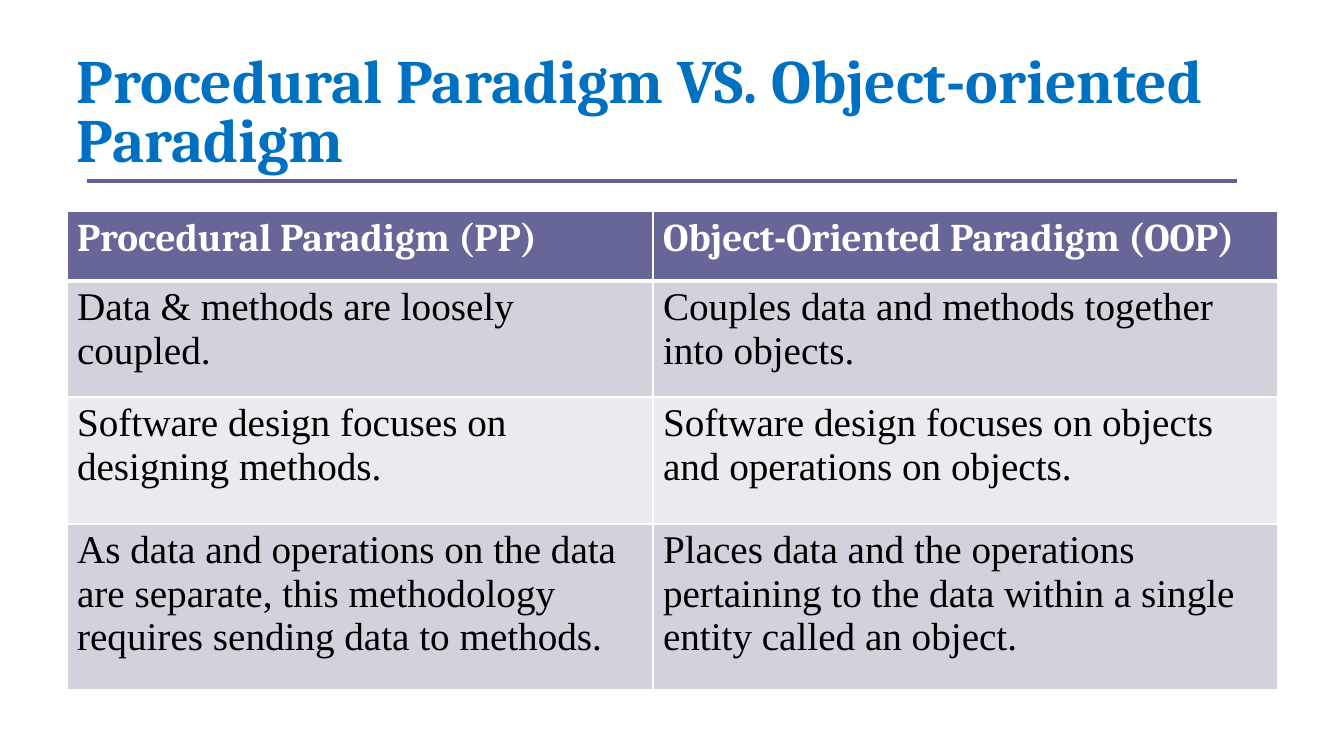
from lxml import etree
from pptx import Presentation
from pptx.dml.color import RGBColor
from pptx.enum.shapes import MSO_CONNECTOR
from pptx.enum.text import MSO_ANCHOR
from pptx.oxml.ns import qn
from pptx.util import Pt

STRAIGHT = MSO_CONNECTOR.STRAIGHT
MIDDLE = MSO_ANCHOR.MIDDLE
SLIDE_WIDTH, SLIDE_HEIGHT = 1344, 756
SCALE = 12192000 / SLIDE_WIDTH
COLORS = {
    "title": "0070C0",
    "rule": "616196",
    "header": "666699",
    "odd_row": "D2D2DD",
    "even_row": "EAEAEF",
    "white": "FFFFFF",
    "black": "000000",
}
HEADING_FONT, BODY_FONT = "Cambria", "Times New Roman"
COLUMN_WIDTHS = [586, 625]
ROW_HEIGHTS = [70, 116, 127, 166]
ROWS = [
    ("Procedural Paradigm (PP)", "Object-Oriented Paradigm (OOP)"),
    ("Data & methods are loosely coupled.",
     "Couples data and methods together into objects."),
    ("Software design focuses on designing methods.",
     "Software design focuses on objects and operations on objects."),
    ("As data and operations on the data are separate, this methodology "
     "requires sending data to methods.",
     "Places data and the operations pertaining to the data within a single "
     "entity called an object."),
]


def px(length):
    return round(length * SCALE)


def add_run(para, text, size, font, color, bold):
    span = para.add_run()
    span.text = text
    span.font.size = Pt(size)
    span.font.name = font
    span.font.bold = bold
    span.font.color.rgb = RGBColor.from_string(COLORS[color])


deck = Presentation()
deck.slide_width, deck.slide_height = px(SLIDE_WIDTH), px(SLIDE_HEIGHT)
page = deck.slides.add_slide(deck.slide_layouts[6])

# Title
title_box = page.shapes.add_textbox(px(67), px(52), px(1211), px(126))
title_frame = title_box.text_frame
title_frame.word_wrap = True
title_frame.vertical_anchor = MIDDLE
title_para = title_frame.paragraphs[0]
title_para.line_spacing = 0.8
add_run(title_para, "Procedural Paradigm VS. Object-oriented Paradigm",
        44, HEADING_FONT, "title", True)

# Comparison table
table = page.shapes.add_table(
    len(ROWS), len(COLUMN_WIDTHS), px(67), px(211),
    px(sum(COLUMN_WIDTHS)), px(sum(ROW_HEIGHTS))).table
for column, width in zip(table.columns, COLUMN_WIDTHS):
    column.width = px(width)

for row_index, (texts, height) in enumerate(zip(ROWS, ROW_HEIGHTS)):
    table.rows[row_index].height = px(height)
    is_header = row_index == 0
    if is_header:
        fill, font, color = "header", HEADING_FONT, "white"
    else:
        fill = "odd_row" if row_index % 2 else "even_row"
        font, color = BODY_FONT, "black"
    for column_index, text in enumerate(texts):
        cell = table.cell(row_index, column_index)
        add_run(cell.text_frame.paragraphs[0], text, 28, font, color, is_header)
        cell.fill.solid()
        cell.fill.fore_color.rgb = RGBColor.from_string(COLORS[fill])
        # Borders must come before the fill in the cell properties
        properties = cell._tc.get_or_add_tcPr()
        for position, side in enumerate(("a:lnL", "a:lnR", "a:lnT", "a:lnB")):
            thick = (is_header and side == "a:lnB") or (row_index == 1 and side == "a:lnT")
            border = etree.Element(qn(side), w=str(Pt(3 if thick else 1)))
            solid = etree.SubElement(border, qn("a:solidFill"))
            etree.SubElement(solid, qn("a:srgbClr"), val=COLORS["white"])
            properties.insert(position, border)

# Rule under the title
rule = page.shapes.add_connector(STRAIGHT, px(87), px(181), px(1237), px(181))
rule.line.color.rgb = RGBColor.from_string(COLORS["rule"])
rule.line.width = Pt(2.5)
etree.SubElement(rule._element.spPr, qn("a:effectLst"))

deck.save("out.pptx")
